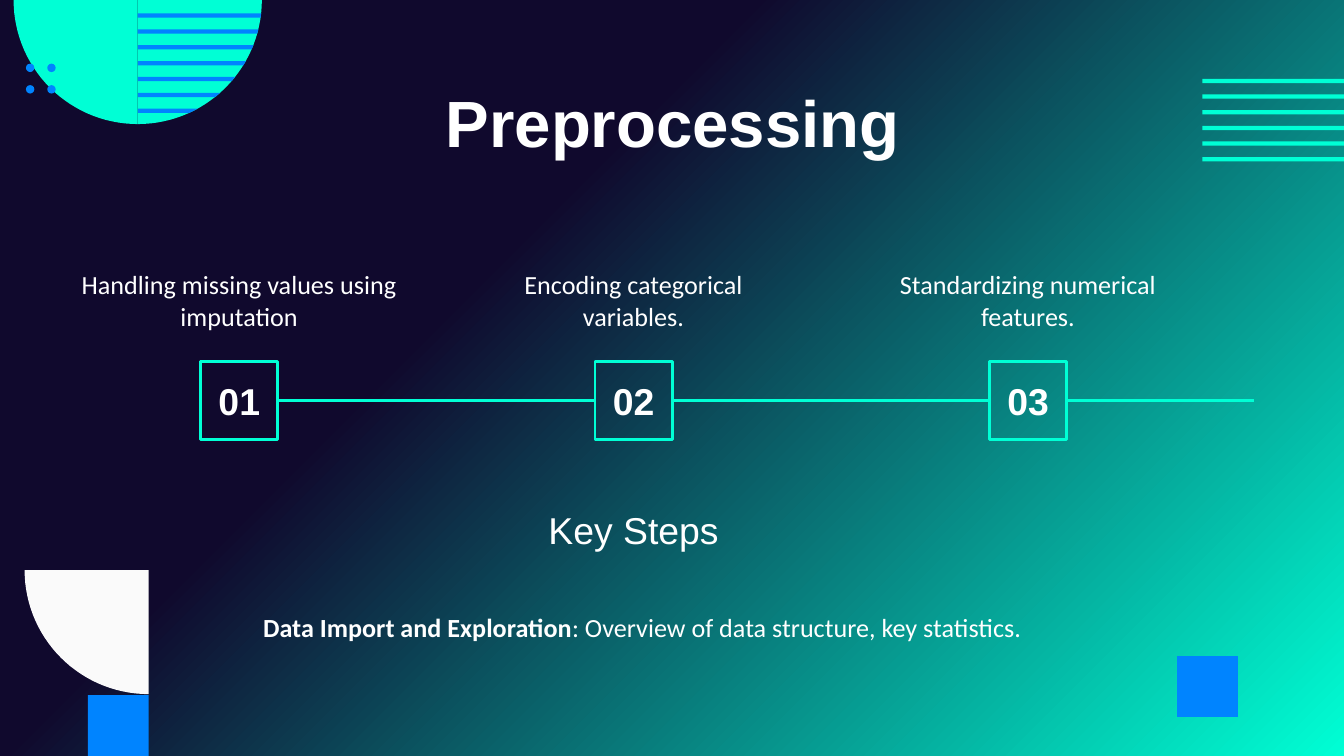
"""Build the Preprocessing slide: three numbered steps on a line, with a key steps note."""
from copy import deepcopy
from dataclasses import dataclass
from math import cos, radians, sin, sqrt

from lxml import etree
from pptx import Presentation
from pptx.dml.color import RGBColor
from pptx.enum.shapes import MSO_CONNECTOR, MSO_SHAPE
from pptx.enum.text import MSO_ANCHOR, MSO_AUTO_SIZE, PP_ALIGN
from pptx.oxml.ns import qn
from pptx.util import Pt

RECTANGLE, OVAL = MSO_SHAPE.RECTANGLE, MSO_SHAPE.OVAL
STRAIGHT = MSO_CONNECTOR.STRAIGHT
TOP, MIDDLE = MSO_ANCHOR.TOP, MSO_ANCHOR.MIDDLE
CENTER = PP_ALIGN.CENTER
FIXED = MSO_AUTO_SIZE.NONE


@dataclass(frozen=True)
class Theme:
    night: RGBColor = RGBColor.from_string("10092D")
    mint: RGBColor = RGBColor.from_string("00FFD5")
    blue: RGBColor = RGBColor.from_string("0084FF")
    pale: RGBColor = RGBColor.from_string("FAFAFA")
    white: RGBColor = RGBColor.from_string("FFFFFF")
    heading: str = "Arial"
    body: str = "Calibri"
    title_size: int = 35
    label_size: int = 20
    text_size: int = 14


theme = Theme()

prs = Presentation()
prs.slide_width, prs.slide_height = Pt(720), Pt(405)
slide = prs.slides.add_slide(prs.slide_layouts[5])
shapes = slide.shapes


def fill_outline(points, color):
    corners = [(Pt(x), Pt(y)) for x, y in points]
    builder = shapes.build_freeform(*corners[0])
    builder.add_line_segments(corners[1:], close=True)
    outline = builder.convert_to_shape()
    outline.shadow.inherit = False
    outline.fill.solid()
    outline.fill.fore_color.rgb = color
    outline.line.fill.background()


def write(holder, text, font_name, size, bold=None, anchor=MIDDLE):
    frame = holder.text_frame
    frame.word_wrap = True
    frame.auto_size = FIXED
    frame.vertical_anchor = anchor
    frame.margin_left = frame.margin_right = Pt(7.2)
    frame.margin_top = frame.margin_bottom = Pt(7.2)
    paragraph = frame.paragraphs[0]
    paragraph.text = text
    paragraph.alignment = CENTER
    font = paragraph.font
    font.name, font.size, font.bold = font_name, Pt(size), bold
    font.color.rgb = theme.white
    return paragraph


backdrop = slide.background.fill
backdrop.gradient()
backdrop.gradient_angle = 315
first_stop = slide.element.find(".//" + qn("a:gs"))
first_stop.addnext(deepcopy(first_stop))
for stop, (position, color) in zip(
    backdrop.gradient_stops, [(0, theme.night), (0.36, theme.night), (1, theme.mint)]
):
    stop.position = position
    stop.color.rgb = color

radius = 66.5
disc_x = 73.8
for corner_x, corner_y, start_angle, color in [
    (79.7, 305.4, 90, theme.pale),
    (disc_x, 0, 0, theme.mint),
    (disc_x, 0, 90, theme.mint),
]:
    angles = [radians(start_angle + step) for step in range(0, 91, 3)]
    arc = [(corner_x + radius * cos(a), corner_y + radius * sin(a)) for a in angles]
    fill_outline([(corner_x, corner_y), *arc], color)

stripe_height = 2.3
for row in range(7):
    upper = 7.2 + 8.5 * row
    lower = upper + stripe_height
    upper_end, lower_end = (disc_x + sqrt(radius**2 - y**2) for y in (upper, lower))
    fill_outline(
        [(disc_x, upper), (upper_end, upper), (lower_end, lower), (disc_x, lower)],
        theme.blue,
    )

squares = [(RECTANGLE, x, y, 32.6, 32.6, theme.blue) for x, y in [(630.6, 351.5), (47.1, 372.4)]]
stripes = [(RECTANGLE, 644.2, 42.2 + 8.4 * row, 184.3, stripe_height, theme.mint) for row in range(6)]
dots = [(OVAL, x, y, 4.5, 4.5, theme.blue) for x in (13.9, 25.3) for y in (34.1, 45.6)]
for kind, left, top, width, height, color in squares + stripes + dots:
    ornament = shapes.add_shape(kind, Pt(left), Pt(top), Pt(width), Pt(height))
    ornament.shadow.inherit = False
    ornament.fill.solid()
    ornament.fill.fore_color.rgb = color
    ornament.line.fill.background()

title = shapes.title
title.left, title.top, title.width, title.height = Pt(57), Pt(42.5), Pt(607), Pt(45.4)
write(title, "Preprocessing", theme.heading, theme.title_size, True)

steps = [
    "Handling missing values using imputation",
    "Encoding categorical variables.",
    "Standardizing numerical features.",
]
caption_width, box_width, box_height = 184.3, 41.4, 41.6
box_top = 193.8
line_y = box_top + box_height / 2
boxes = []
for index, step in enumerate(steps):
    left = 36 + 211.3 * index
    caption = shapes.add_textbox(Pt(left), Pt(136.8), Pt(caption_width), Pt(56.2))
    write(caption, step, theme.body, theme.text_size, anchor=TOP)
    box_left = left + (caption_width - box_width) / 2
    box = shapes.add_shape(RECTANGLE, Pt(box_left), Pt(box_top), Pt(box_width), Pt(box_height))
    box.shadow.inherit = False
    box.fill.background()
    box.line.color.rgb = theme.mint
    box.line.width = Pt(1.5)
    write(box, f"{index + 1:02}", theme.heading, theme.label_size, True)
    boxes.append(box)

for box, next_box in zip(boxes, [*boxes[1:], None]):
    link = shapes.add_connector(STRAIGHT, box.left + box.width, Pt(line_y), Pt(671.8), Pt(line_y))
    link.begin_connect(box, 3)
    if next_box is not None:
        link.end_connect(next_box, 1)
    link.line.color.rgb = theme.mint
    link.line.width = Pt(1.5)
    etree.SubElement(link.element.spPr, qn("a:effectLst"))

key_steps = shapes.add_textbox(Pt(247.3), Pt(262.8), Pt(caption_width), Pt(41.8))
write(key_steps, "Key Steps", theme.heading, theme.label_size)

overview = shapes.add_textbox(Pt(82), Pt(320.4), Pt(524.2), Pt(56.2))
sentence = write(overview, "Data Import and Exploration", theme.body, theme.text_size, anchor=TOP)
sentence.runs[0].font.bold = True
sentence.add_run().text = ": Overview of data structure, key statistics."

prs.save("out.pptx")
